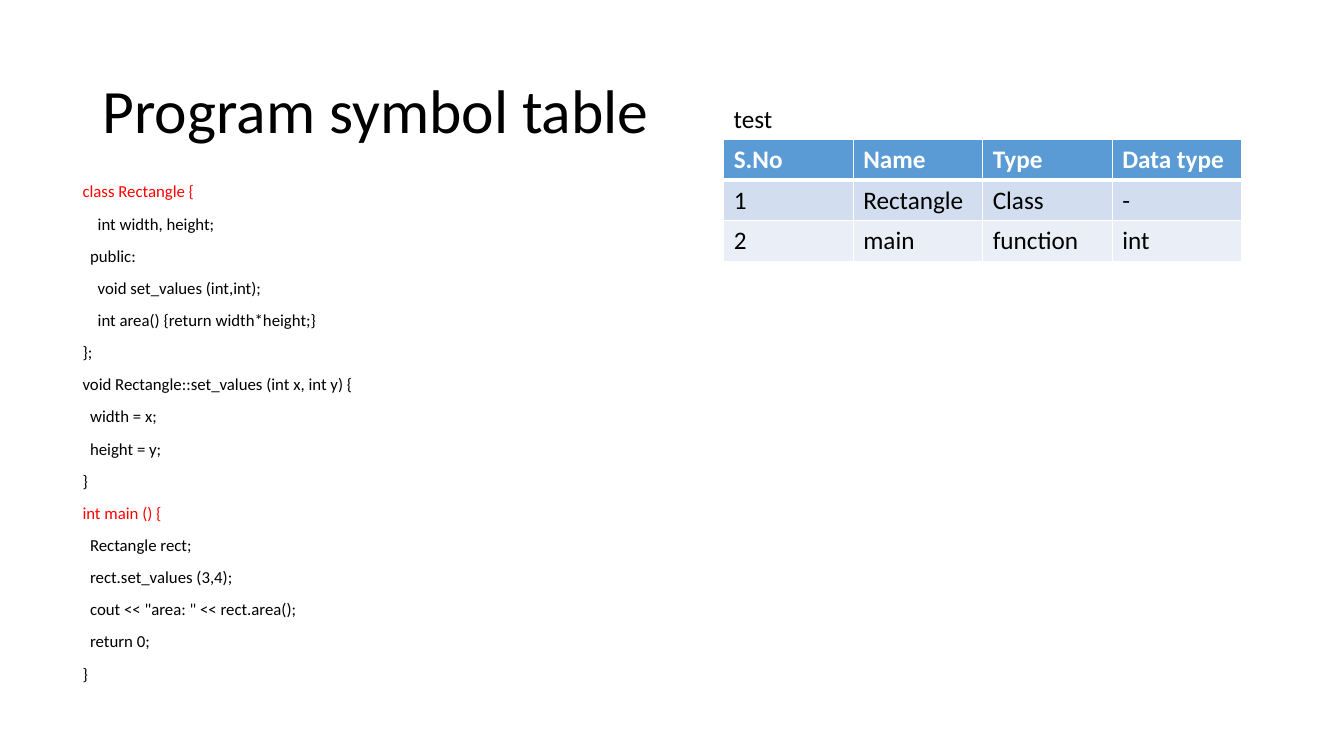
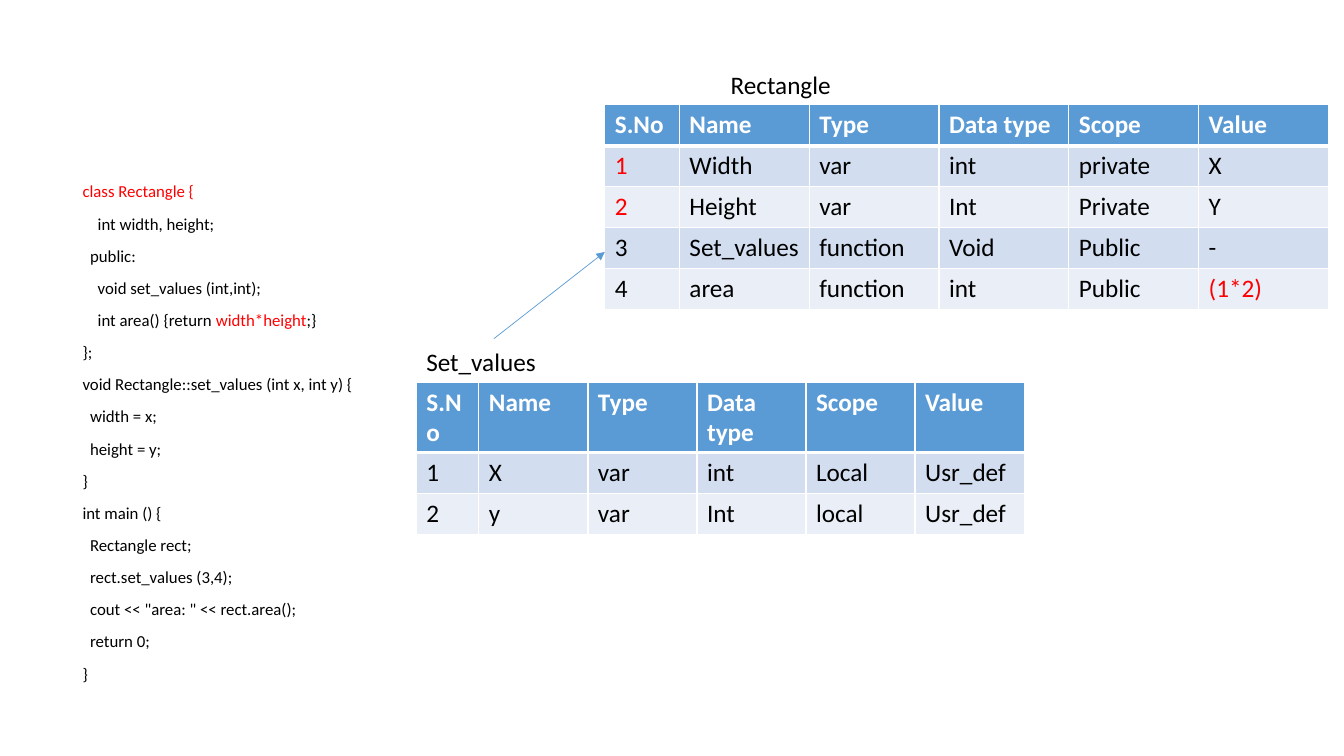
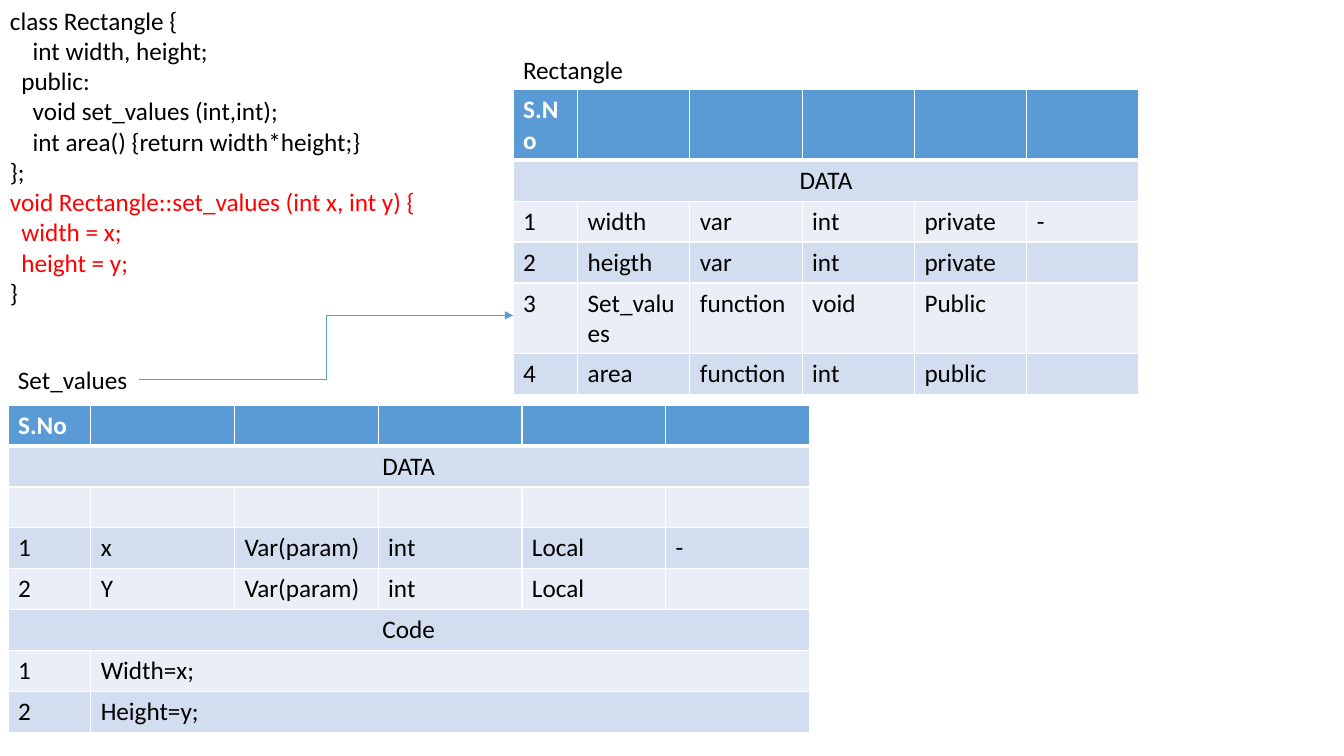
import pptx
import pptx.dml.color
import pptx.enum.shapes
import pptx.enum.text
import pptx.oxml
import pptx.oxml.ns
import pptx.util
from lxml import etree

RGBColor = pptx.dml.color.RGBColor
Pt = pptx.util.Pt
qn = pptx.oxml.ns.qn
ANCHOR = pptx.enum.text.MSO_ANCHOR
CONNECTOR = pptx.enum.shapes.MSO_CONNECTOR

# Shared look
BLACK = RGBColor(0, 0, 0)
WHITE = RGBColor(255, 255, 255)
RED = RGBColor(255, 0, 0)
BLUE = RGBColor(0x5B, 0x9B, 0xD5)
BANDS = (RGBColor(0xEA, 0xEF, 0xF7), RGBColor(0xD2, 0xDE, 0xEF))
FONT = "Calibri"
TITLE_SIZE, TEXT_SIZE, CODE_SIZE = 44, 18, 12
SPACE_WIDTH = 0.226  # one space, as a share of the text size
ROW_HEIGHT = Pt(29.2)
WIDTH, HEIGHT = pptx.util.Inches(13.333), pptx.util.Inches(7.5)

# Shared content
CODE = [
    "class Rectangle {",
    "    int width, height;",
    "  public:",
    "    void set_values (int,int);",
    "    int area() {return width*height;}",
    "};",
    "void Rectangle::set_values (int x, int y) {",
    "  width = x;",
    "  height = y;",
    "}",
    "int main () {",
    "  Rectangle rect;",
    "  rect.set_values (3,4);",
    '  cout << "area: " << rect.area();',
    "  return 0;",
    "}",
]
HEADINGS = ["S.No", "Name", "Type", "Data type", "Scope", "Value"]
BARE_HEADINGS = ["S.No"] + [""] * 5
CODE_BOX = (5.4, 23.6, 86.25, 63.47)


def across(percent):
    return round(WIDTH * percent / 100)


def down(percent):
    return round(HEIGHT * percent / 100)


# Text
def add_runs(p, text, size, color=BLACK, bold=False, marks=()):
    """Write text, with the first mark found in it in red."""
    mark = next((m for m in marks if m in text), "")
    before, _, after = text.partition(mark) if mark else (text, "", "")
    for part, part_color in ((before, color), (mark, RED), (after, color)):
        if part:
            r = p.add_run()
            r.text = part
            r.font.name = FONT
            r.font.size = Pt(size)
            r.font.bold = bold
            r.font.color.rgb = part_color


def add_text(s, box, lines, size=TEXT_SIZE, marks=(), anchor=ANCHOR.TOP,
             spacing=None, before=0):
    x, y, w, h = box
    tf = s.shapes.add_textbox(across(x), down(y), across(w), down(h)).text_frame
    tf.word_wrap = True
    tf.vertical_anchor = anchor
    for i, line in enumerate(lines):
        p = tf.paragraphs[0] if i == 0 else tf.add_paragraph()
        p.line_spacing = spacing
        p.space_before = Pt(before)
        text = line.lstrip()
        indent = Pt((len(line) - len(text)) * SPACE_WIDTH * size)
        if indent:
            p._p.get_or_add_pPr().set("marL", str(indent))
        add_runs(p, text, size, marks=marks)


def add_code(s, marks):
    add_text(s, CODE_BOX, CODE, CODE_SIZE, marks, spacing=0.9, before=10)


# Tables
def style_cell(cell, row):
    tcPr = cell._tc.get_or_add_tcPr()
    for side in ("lnL", "lnR", "lnT", "lnB"):
        heavy = (row == 0 and side == "lnB") or (row == 1 and side == "lnT")
        ln = etree.SubElement(tcPr, qn("a:" + side), w=str(Pt(3 if heavy else 1)))
        fill = etree.SubElement(ln, qn("a:solidFill"))
        etree.SubElement(fill, qn("a:srgbClr"), val=str(WHITE))
    cell.fill.solid()
    cell.fill.fore_color.rgb = BANDS[row % 2] if row else BLUE


def add_grid(s, caption, x, y, w, first, rows, marks=(), caption_x=None, gap=5.4):
    """Captioned table; None in a row extends the cell to its left."""
    n = len(rows[0])
    table = s.shapes.add_table(len(rows), n, across(x), down(y), across(w),
                               ROW_HEIGHT * len(rows)).table
    for c, column in enumerate(table.columns):
        column.width = across((w - first) / (n - 1) if c else first)
    for i, row in enumerate(rows):
        table.rows[i].height = ROW_HEIGHT
        for c, text in enumerate(row):
            cell = table.cell(i, c)
            style_cell(cell, i)
            if text:
                add_runs(cell.text_frame.paragraphs[0], text, TEXT_SIZE,
                         BLACK if i else WHITE, i == 0, marks)
        if None in row:
            start = row.index(None) - 1
            table.cell(i, start).merge(table.cell(i, n - 1))
            if start == 0:
                p = table.cell(i, 0).text_frame.paragraphs[0]
                p.alignment = pptx.enum.text.PP_ALIGN.CENTER
    caption_width = 4.43 if caption == "test" else 9.75
    left = x if caption_x is None else caption_x
    add_text(s, (left, y - gap, caption_width, 5.33), [caption])


def band(text):
    return [text] + [None] * 5


# Arrows
def add_arrow(s, kind, start, end):
    line = s.shapes.add_connector(kind, across(start[0]), down(start[1]),
                                  across(end[0]), down(end[1]))
    line.line.color.rgb = BLUE
    line.line.width = Pt(0.5)
    etree.SubElement(line.line._get_or_add_ln(), qn("a:tailEnd"), type="triangle")
    etree.SubElement(line._element.spPr, qn("a:effectLst"))


# Slides
def program_slide(s):
    add_text(s, (6.9, 5.33, 86.25, 19.33), ["Program symbol table"], TITLE_SIZE,
             anchor=ANCHOR.MIDDLE, spacing=0.9)
    add_code(s, ("class Rectangle {", "int main () {"))
    add_grid(s, "test", 53.85, 18.4, 38.55, 38.55 / 4, [
        HEADINGS[:4],
        ["1", "Rectangle", "Class", "-"],
        ["2", "main", "function", "int"],
    ])


def class_slide(s):
    add_code(s, ("class Rectangle {", "width*height"))
    add_grid(s, "Rectangle", 45, 13.87, 53.85, 5.55, [
        HEADINGS,
        ["1", "Width", "var", "int", "private", "X"],
        ["2", "Height", "var", "Int", "Private", "Y"],
        ["3", "Set_values", "function", "Void", "Public", "-"],
        ["4", "area", "function", "int", "Public", "(1*2)"],
    ], marks=("(1*2)", "1", "2"), caption_x=53.63)
    add_arrow(s, CONNECTOR.STRAIGHT, (36.75, 44.8), (45, 33.33))
    add_grid(s, "Set_values", 30.98, 50.53, 45.23, 4.65, [
        HEADINGS,
        ["1", "X", "var", "int", "Local", "Usr_def"],
        ["2", "y", "var", "Int", "local", "Usr_def"],
    ])


def method_slide(s):
    add_text(s, (0, 0, 50, 41.73), CODE[:10],
             marks=("void Rectangle::set_values (int x, int y) {",
                    "width = x;", "height = y;"))
    add_grid(s, "Rectangle", 38.18, 11.87, 46.58, 4.8, [
        BARE_HEADINGS,
        band("DATA"),
        ["1", "width", "var", "int", "private", "-"],
        ["2", "heigth", "var", "int", "private", ""],
        ["3", "Set_values", "function", "void", "Public", ""],
        ["4", "area", "function", "int", "public", ""],
    ])
    add_grid(s, "Set_values", 0.6, 53.6, 59.63, 6.15, [
        BARE_HEADINGS,
        band("DATA"),
        [""] * 6,
        ["1", "x", "Var(param)", "int", "Local", "-"],
        ["2", "Y", "Var(param)", "int", "Local", ""],
        band("Code"),
        ["1", "Width=x;"] + [None] * 4,
        ["2", "Height=y;"] + [None] * 4,
    ], gap=6.13)
    add_arrow(s, CONNECTOR.ELBOW, (10.35, 50.13), (38.18, 41.73))


def main():
    prs = pptx.Presentation()
    prs.slide_width, prs.slide_height = WIDTH, HEIGHT
    for build in (program_slide, class_slide, method_slide):
        build(prs.slides.add_slide(prs.slide_layouts[6]))
    prs.save("out.pptx")


if __name__ == "__main__":
    main()
